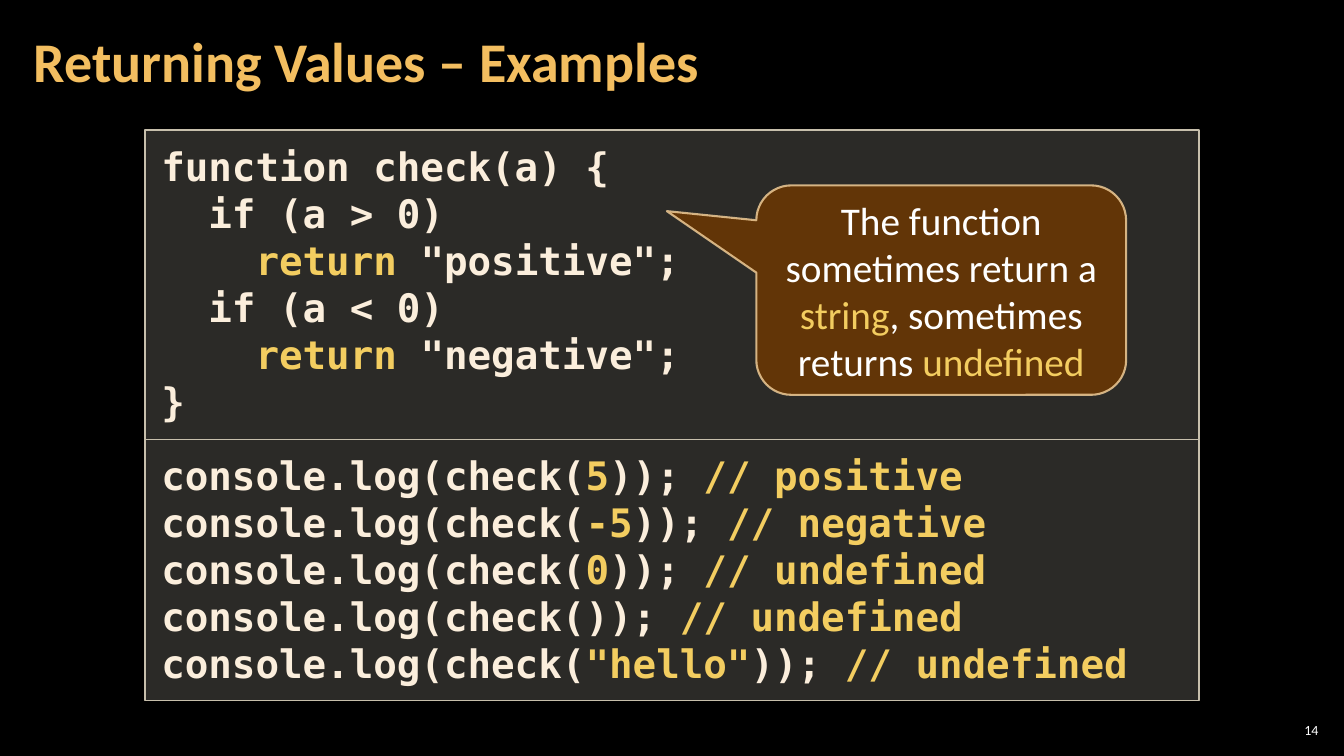
from lxml import etree
from pptx import Presentation
from pptx import util as u
from pptx.dml.color import RGBColor
from pptx.enum import shapes, text
from pptx.oxml.ns import qn

WIDTH, HEIGHT = 13.33, 7.5
COLORS = {
    "background": "000000", "title": "F3BE60", "panel": "D9D5C7",
    "panel_line": "C7BFAC", "code": "FBEEDC", "accent": "F3CD60",
    "callout": "663606", "callout_line": "F8D49E", "white": "FFFFFF",
}
MARK = "|"  # switches the accent colour on and off

FUNCTION_CODE = """function check(a) {
  if (a > 0)
    |return| "positive";
  if (a < 0)
    |return| "negative";
}"""
CALLS = [("5", "positive"), ("-5", "negative"), ("0", "undefined"),
         ("", "undefined"), ('"hello"', "undefined")]
CALLS_CODE = "\n".join(
    f"console.log(check(|{argument}|));| // {result}|" for argument, result in CALLS)


def rgb(name):
    return RGBColor.from_string(COLORS[name])


def inches(box):
    return [u.Inches(length) for length in box]


def write(frame, content, size, color, font="Calibri", bold=False,
          align=text.PP_ALIGN.LEFT, anchor=text.MSO_ANCHOR.TOP,
          insets=(0.1, 0.05), spacing=None):
    frame.word_wrap = True
    frame.auto_size = text.MSO_AUTO_SIZE.NONE
    frame.vertical_anchor = anchor
    frame.margin_left = frame.margin_right = u.Inches(insets[0])
    frame.margin_top = frame.margin_bottom = u.Inches(insets[1])
    for index, line in enumerate(content.split("\n")):
        paragraph = frame.add_paragraph() if index else frame.paragraphs[0]
        paragraph.alignment = align
        paragraph.line_spacing = spacing
        for part, words in enumerate(line.split(MARK)):
            if not words:
                continue
            run = paragraph.add_run()
            run.text = words
            run.font.name, run.font.size, run.font.bold = font, u.Pt(size), bold
            run.font.color.rgb = rgb("accent" if part % 2 else color)


def set_opacity(color_format_owner, percent):
    for color in color_format_owner.iter(qn("a:srgbClr")):
        etree.SubElement(color, qn("a:alpha"), val=str(percent * 1000))


def add_panel(slide, kind, box, fill, line, line_width, fill_opacity, line_opacity=100):
    panel = slide.shapes.add_shape(kind, *inches(box))
    panel.shadow.inherit = False
    panel.fill.solid()
    panel.fill.fore_color.rgb = rgb(fill)
    panel.line.color.rgb = rgb(line)
    panel.line.width = u.Pt(line_width)
    properties = panel._element.spPr
    set_opacity(properties.find(qn("a:solidFill")), fill_opacity)
    if line_opacity < 100:
        set_opacity(properties.find(qn("a:ln")), line_opacity)
    return panel


def add_title(slide, box):
    title = slide.shapes.title
    title.left, title.top, title.width, title.height = inches(box)
    write(title.text_frame, "Returning Values – Examples", 40, "title", bold=True,
          anchor=text.MSO_ANCHOR.MIDDLE, insets=(0.12, 0.04), spacing=0.9)


def add_code(slide, box):
    """Stack the two code panels in the box, the first taking 54.2% of it."""
    left, top, width, height = box
    for code, share in ((FUNCTION_CODE, 0.542), (CALLS_CODE, 0.458)):
        panel = add_panel(slide, shapes.MSO_SHAPE.RECTANGLE,
                          (left, top, width, height * share),
                          "panel", "panel_line", 1, 20)
        write(panel.text_frame, code, 28, "code", font="DejaVu Sans Mono",
              bold=True, insets=(0.16, 0.12))
        top += height * share


def add_callout(slide, box):
    left, top, width, height = box
    callout = add_panel(slide, shapes.MSO_SHAPE.ROUNDED_RECTANGULAR_CALLOUT,
                        (left + 0.58 * width, top + 0.097 * height,
                         0.351 * width, 0.367 * height),
                        "callout", "callout_line", 1.5, 95, 80)
    for index, value in enumerate((-0.742, -0.377, 0.167)):
        callout.adjustments[index] = value
    write(callout.text_frame,
          "The function sometimes return a |string|, sometimes returns |undefined|",
          28, "white", align=text.PP_ALIGN.CENTER, anchor=text.MSO_ANCHOR.MIDDLE)


def add_page_number(slide, box):
    number = slide.shapes.add_textbox(*inches(box))
    write(number.text_frame, "14", 10, "white", align=text.PP_ALIGN.RIGHT,
          anchor=text.MSO_ANCHOR.MIDDLE, insets=(0.04, 0.04))


def main():
    deck = Presentation()
    deck.slide_width, deck.slide_height = inches((WIDTH, HEIGHT))
    slide = deck.slides.add_slide(deck.slide_layouts.get_by_name("Title Only"))
    slide.background.fill.solid()
    slide.background.fill.fore_color.rgb = rgb("background")
    example = (0.108 * WIDTH, 0.172 * HEIGHT, 0.784 * WIDTH, 0.755 * HEIGHT)
    add_page_number(slide, (0.949 * WIDTH, 0.952 * HEIGHT, 0.035 * WIDTH, 0.028 * HEIGHT))
    add_title(slide, (0.016 * WIDTH, 0.005 * HEIGHT, 0.785 * WIDTH, 0.161 * HEIGHT))
    add_code(slide, example)
    add_callout(slide, example)
    deck.save("out.pptx")


if __name__ == "__main__":
    main()
